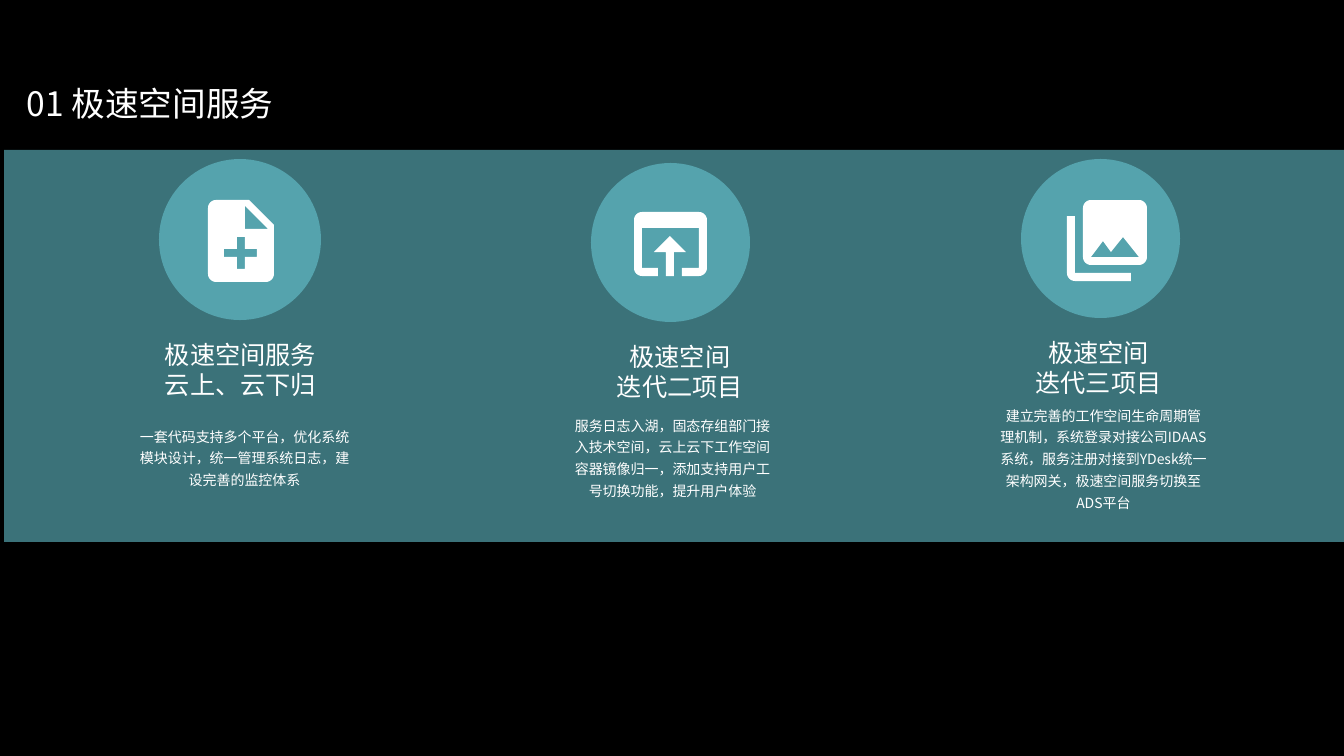
from math import cos, hypot, pi, sin

from lxml.etree import SubElement
from pptx import Presentation
from pptx.dml.color import RGBColor
from pptx.enum.shapes import MSO_SHAPE as Shape
from pptx.enum.text import MSO_ANCHOR as Anchor, MSO_AUTO_SIZE as AutoSize, PP_ALIGN as Align
from pptx.oxml.ns import qn
from pptx.util import Pt

# Content: boxes are (left, top, width, height) in px
WIDTH, HEIGHT = 1344, 756
PX = 914400 / 100.8
FONT = "Noto Sans CJK SC"
COLORS = {"black": "000000", "teal": "55A3AD", "white": "FFFFFF"}
TITLE = "01 极速空间服务"
TITLE_BOX = (22, 66, 1082, 62)
BACKDROP_BOX = (0, -6, WIDTH, HEIGHT + 6)
BAND_BOX = (4, 150, WIDTH, 392)
BAND_OPACITY = 70
INSET = 5

# Icon outlines: (x, y) is a sharp corner, (x, y, radius) a rounded one
DOCUMENT_ICON = [
    [(245, 229), (268, 229), (245, 206)],
    [(257, 257), (257, 249), (245, 249), (245, 237), (237, 237), (237, 249),
     (224, 249), (224, 257), (237, 257), (237, 269), (245, 269), (245, 257)],
    [(249, 200), (274, 225), (274, 282, 8), (208, 282, 8), (208, 200, 8)],
]
WINDOW_ICON = [
    [(670, 236), (686, 252), (674, 252), (674, 276), (666, 276), (666, 252), (654, 252)],
    [(707, 212, 8), (707, 276, 8), (682, 276), (682, 268), (699, 268), (699, 228),
     (642, 228), (642, 268), (658, 268), (658, 276), (634, 276, 8), (634, 212, 8)],
]
PHOTOS_ICON = [
    [(1067, 216), (1075, 216), (1075, 273), (1131, 273), (1131, 281), (1067, 281, 8)],
    [(1103, 241), (1091, 257), (1139, 257), (1123, 237), (1111, 252)],
    [(1147, 265, 8), (1083, 265, 8), (1083, 200, 8), (1147, 200, 8)],
]

COLUMNS = [
    {"circle": (159, 159, 162, 161), "icon": DOCUMENT_ICON,
     "heading": ["极速空间服务", "云上、云下归"], "heading_box": (120, 334, 241, 72),
     "body": "一套代码支持多个平台，优化系统模块设计，统一管理系统日志，建设完善的监控体系",
     "body_box": (134, 418, 221, 95)},
    {"circle": (591, 163, 159, 159), "icon": WINDOW_ICON,
     "heading": ["极速空间", "迭代二项目"], "heading_box": (559, 336, 242, 72),
     "body": "服务日志入湖，固态存组部门接入技术空间，云上云下工作空间"
             "容器镜像归一，添加支持用户工号切换功能，提升用户体验",
     "body_box": (564, 407, 217, 101)},
    {"circle": (1021, 159, 159, 159), "icon": PHOTOS_ICON,
     "heading": ["极速空间", "迭代三项目"], "heading_box": (990, 332, 217, 72),
     "body": "建立完善的工作空间生命周期管理机制，系统登录对接公司IDAAS系统，"
             "服务注册对接到YDesk统一架构网关，极速空间服务切换至ADS平台",
     "body_box": (995, 397, 217, 119)},
]


def emu(*lengths):
    return [round(length * PX) for length in lengths]


def paint(shape, color):
    shape.shadow.inherit = False
    shape.fill.solid()
    shape.fill.fore_color.rgb = RGBColor.from_string(COLORS[color])
    shape.line.fill.background()


def add_filled(shapes, kind, box, color):
    shape = shapes.add_shape(kind, *emu(*box))
    paint(shape, color)
    return shape


def write(shape, lines, size, align, spacing=1.0):
    frame = shape.text_frame
    inset = emu(INSET)[0]
    settings = {"word_wrap": True, "auto_size": AutoSize.NONE, "vertical_anchor": Anchor.TOP,
                "margin_left": inset, "margin_right": inset,
                "margin_top": inset, "margin_bottom": inset}
    for name, value in settings.items():
        setattr(frame, name, value)
    for index, line in enumerate(lines):
        paragraph = frame.add_paragraph() if index else frame.paragraphs[0]
        paragraph.alignment = align
        paragraph.line_spacing = spacing
        run = paragraph.add_run()
        run.text = line
        run.font.size = Pt(size)
        run.font.color.rgb = RGBColor.from_string(COLORS["white"])
        run.font.name = FONT
        SubElement(run.font._element, qn("a:ea")).set("typeface", FONT)


def rounded(contour, steps=6):
    """Replace each corner that has a radius with points on a quarter circle."""
    points = []
    for index, (x, y, *radius) in enumerate(contour):
        if not radius:
            points.append((x, y))
            continue
        arms = []
        for neighbour in (contour[index - 1], contour[(index + 1) % len(contour)]):
            dx, dy = neighbour[0] - x, neighbour[1] - y
            factor = radius[0] / hypot(dx, dy)
            arms.append((dx * factor, dy * factor))
        (ux, uy), (vx, vy) = arms
        for step in range(steps + 1):
            angle = pi / 2 * step / steps
            u, v = 1 - sin(angle), 1 - cos(angle)
            points.append((x + ux * u + vx * v, y + uy * u + vy * v))
    return points


def add_icon(shapes, contours):
    outlines = [[emu(*point) for point in rounded(contour)] for contour in contours]
    builder = shapes.build_freeform(*outlines[0][0])
    for index, outline in enumerate(outlines):
        if index:
            builder.move_to(*outline[0])
        builder.add_line_segments(outline[1:], close=True)
    paint(builder.convert_to_shape(), "white")


def main():
    presentation = Presentation()
    presentation.slide_width, presentation.slide_height = emu(WIDTH, HEIGHT)
    slide = presentation.slides.add_slide(presentation.slide_layouts[5])

    # Backdrop goes behind the title, then the translucent band
    title = slide.shapes.title
    backdrop = add_filled(slide.shapes, Shape.RECTANGLE, BACKDROP_BOX, "black")
    title.element.addprevious(backdrop.element)
    band = add_filled(slide.shapes, Shape.RECTANGLE, BAND_BOX, "teal")
    band_color = band.element.spPr.find(qn("a:solidFill"))[0]
    SubElement(band_color, qn("a:alpha")).set("val", str(BAND_OPACITY * 1000))

    # Title
    title.left, title.top, title.width, title.height = emu(*TITLE_BOX)
    write(title, [TITLE], 24, Align.LEFT, 1.3)

    # Three service columns
    for column in COLUMNS:
        shapes = slide.shapes.add_group_shape().shapes
        add_filled(shapes, Shape.OVAL, column["circle"], "teal")
        heading = shapes.add_textbox(*emu(*column["heading_box"]))
        write(heading, column["heading"], 18, Align.CENTER)
        body = shapes.add_textbox(*emu(*column["body_box"]))
        write(body, [column["body"]], 10, Align.CENTER, 1.3)
        add_icon(shapes, column["icon"])

    presentation.save("out.pptx")


if __name__ == "__main__":
    main()
